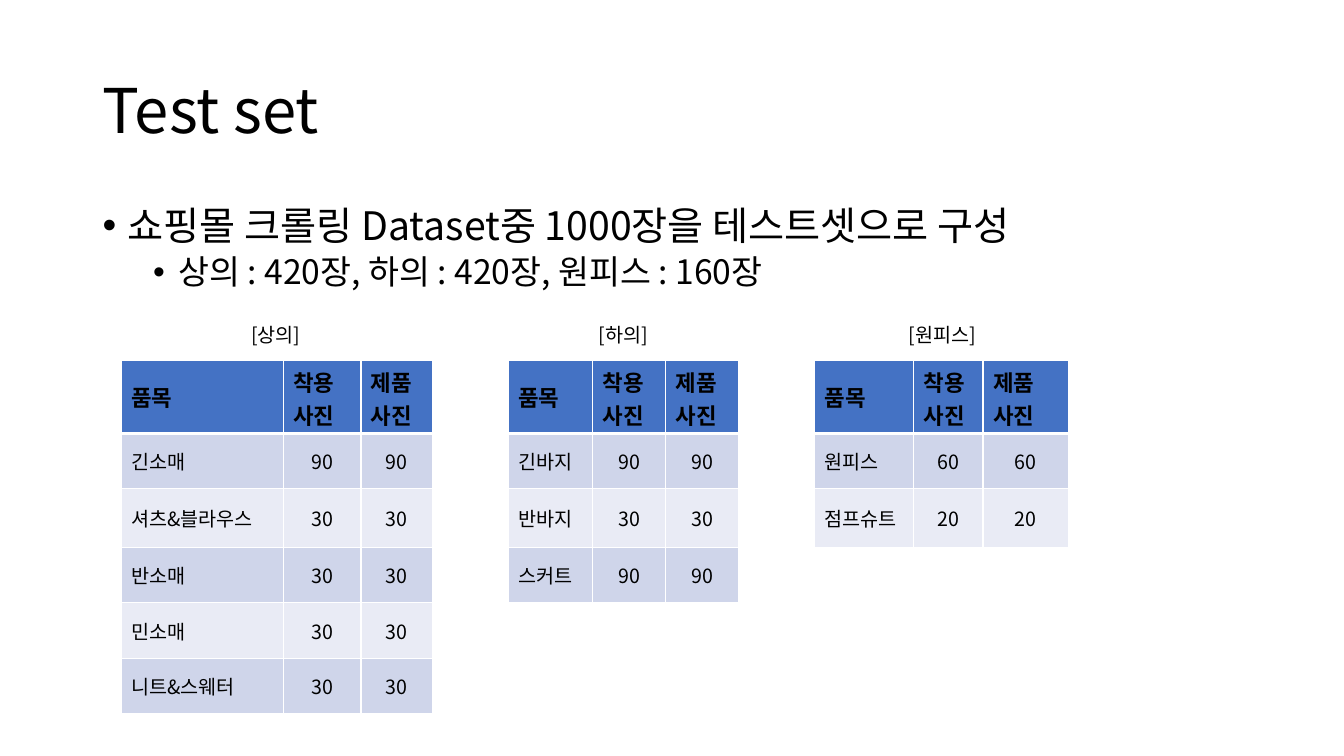
from lxml.etree import SubElement
from pptx import Presentation
from pptx.dml.color import RGBColor
from pptx.enum.text import MSO_ANCHOR, PP_ALIGN
from pptx.oxml.ns import qn
from pptx.util import Inches, Pt

FONT = "Noto Sans CJK KR"
BLACK = RGBColor(0x00, 0x00, 0x00)
WHITE = RGBColor(0xFF, 0xFF, 0xFF)
HEADER_BLUE = RGBColor(0x44, 0x72, 0xC4)
BANDS = (RGBColor(0xCF, 0xD5, 0xEA), RGBColor(0xE9, 0xEB, 0xF5))

HEADINGS = ("품목", "착용 사진", "제품 사진")
ROW_HEIGHTS = (0.72, 0.55, 0.58, 0.55, 0.55, 0.55)
TABLE_TOP = 3.58
CAPTION_TOP, CAPTION_HEIGHT = 3.15, 0.34

CATEGORIES = (
    ("[상의]", 2.07, 1.33, 1.2, (1.61, 0.77, 0.71),
     (("긴소매", 90), ("셔츠&블라우스", 30), ("반소매", 30), ("민소매", 30), ("니트&스웨터", 30))),
    ("[하의]", 5.57, 1.23, 5.04, (0.84, 0.72, 0.73),
     (("긴바지", 90), ("반바지", 30), ("스커트", 90))),
    ("[원피스]", 8.76, 1.18, 8.08, (0.98, 0.69, 0.85),
     (("원피스", 60), ("점프슈트", 20))),
)
SUMMARY = (
    ("쇼핑몰 크롤링 Dataset중 1000장을 테스트셋으로 구성", 28, 0.25, 10),
    ("상의 : 420장, 하의 : 420장, 원피스 : 160장", 24, 0.75, 5),
)


def style_paragraph(paragraph, size, bold=False, align=PP_ALIGN.LEFT):
    """Set alignment and the font for Latin and Korean text."""
    paragraph.alignment = align
    font = paragraph.font
    font.size, font.bold, font.name = Pt(size), bold, FONT
    font.color.rgb = BLACK
    defaults = paragraph._p.pPr.find(qn("a:defRPr"))
    SubElement(defaults, qn("a:ea"), typeface=FONT)


def add_text_frame(slide, left, top, width, height, anchor=MSO_ANCHOR.MIDDLE):
    """Add a wrapping text box and return its text frame."""
    box = slide.shapes.add_textbox(Inches(left), Inches(top), Inches(width), Inches(height))
    box.text_frame.word_wrap = True
    box.text_frame.vertical_anchor = anchor
    return box.text_frame


def add_title(slide, title):
    """Add the slide title."""
    heading = add_text_frame(slide, 0.92, 0.4, 11.5, 1.45).paragraphs[0]
    heading.text = title
    heading.line_spacing = 0.9
    style_paragraph(heading, 44)


def add_bullet(paragraph, indent):
    """Give a paragraph a hanging round bullet."""
    properties = paragraph._p.get_or_add_pPr()
    properties.set("marL", str(Inches(indent)))
    properties.set("indent", str(-Inches(0.25)))
    SubElement(properties, qn("a:buFont"), typeface="Arial")
    SubElement(properties, qn("a:buChar"), char="•")


def add_summary(slide):
    """Add the two-level bulleted summary."""
    frame = add_text_frame(slide, 0.92, 2, 11.5, 4.76, MSO_ANCHOR.TOP)
    for level, (sentence, size, indent, space_before) in enumerate(SUMMARY):
        point = frame.add_paragraph() if level else frame.paragraphs[0]
        point.text = sentence
        point.level = level
        add_bullet(point, indent)
        point.line_spacing = 0.9
        point.space_before = Pt(space_before)
        style_paragraph(point, size)


def add_borders(cell, top, bottom):
    """Draw white borders, with the top and bottom widths in points."""
    properties = cell._tc.get_or_add_tcPr()
    for side, width in (("L", 1), ("R", 1), ("T", top), ("B", bottom)):
        line = SubElement(properties, qn(f"a:ln{side}"), w=str(Pt(width)))
        solid = SubElement(line, qn("a:solidFill"))
        SubElement(solid, qn("a:srgbClr"), val=str(WHITE))


def fill_cell(cell, row, column, value):
    """Write and style one table cell by its position."""
    is_header = row == 0
    add_borders(cell, 3 if row == 1 else 1, 3 if is_header else 1)
    cell.fill.solid()
    cell.fill.fore_color.rgb = HEADER_BLUE if is_header else BANDS[(row - 1) % 2]
    cell.vertical_anchor = MSO_ANCHOR.MIDDLE
    cell.text = str(value)
    is_count = column > 0 and not is_header
    style_paragraph(cell.text_frame.paragraphs[0], 16 if is_header else 14, is_header,
                    PP_ALIGN.CENTER if is_count else PP_ALIGN.LEFT)


def add_count_table(slide, left, widths, items):
    """Add a table of items with equal worn and product photo counts."""
    rows = [HEADINGS] + [(item, count, count) for item, count in items]
    heights = ROW_HEIGHTS[:len(rows)]
    table = slide.shapes.add_table(len(rows), len(widths), Inches(left), Inches(TABLE_TOP),
                                   Inches(sum(widths)), Inches(sum(heights))).table
    for column, width in zip(table.columns, widths):
        column.width = Inches(width)
    for row, (values, height) in enumerate(zip(rows, heights)):
        table.rows[row].height = Inches(height)
        for column, value in enumerate(values):
            fill_cell(table.cell(row, column), row, column, value)


def add_caption(slide, caption, left, width):
    """Add a centred caption above a table."""
    label = add_text_frame(slide, left, CAPTION_TOP, width, CAPTION_HEIGHT).paragraphs[0]
    label.text = caption
    style_paragraph(label, 14, align=PP_ALIGN.CENTER)


def main():
    """Build the test set slide."""
    deck = Presentation()
    deck.slide_width, deck.slide_height = Inches(13.33), Inches(7.5)
    slide = deck.slides.add_slide(deck.slide_layouts[6])
    add_title(slide, "Test set")
    add_summary(slide)
    for caption, caption_left, caption_width, table_left, widths, items in CATEGORIES:
        add_count_table(slide, table_left, widths, items)
        add_caption(slide, caption, caption_left, caption_width)
    deck.save("out.pptx")


if __name__ == "__main__":
    main()
